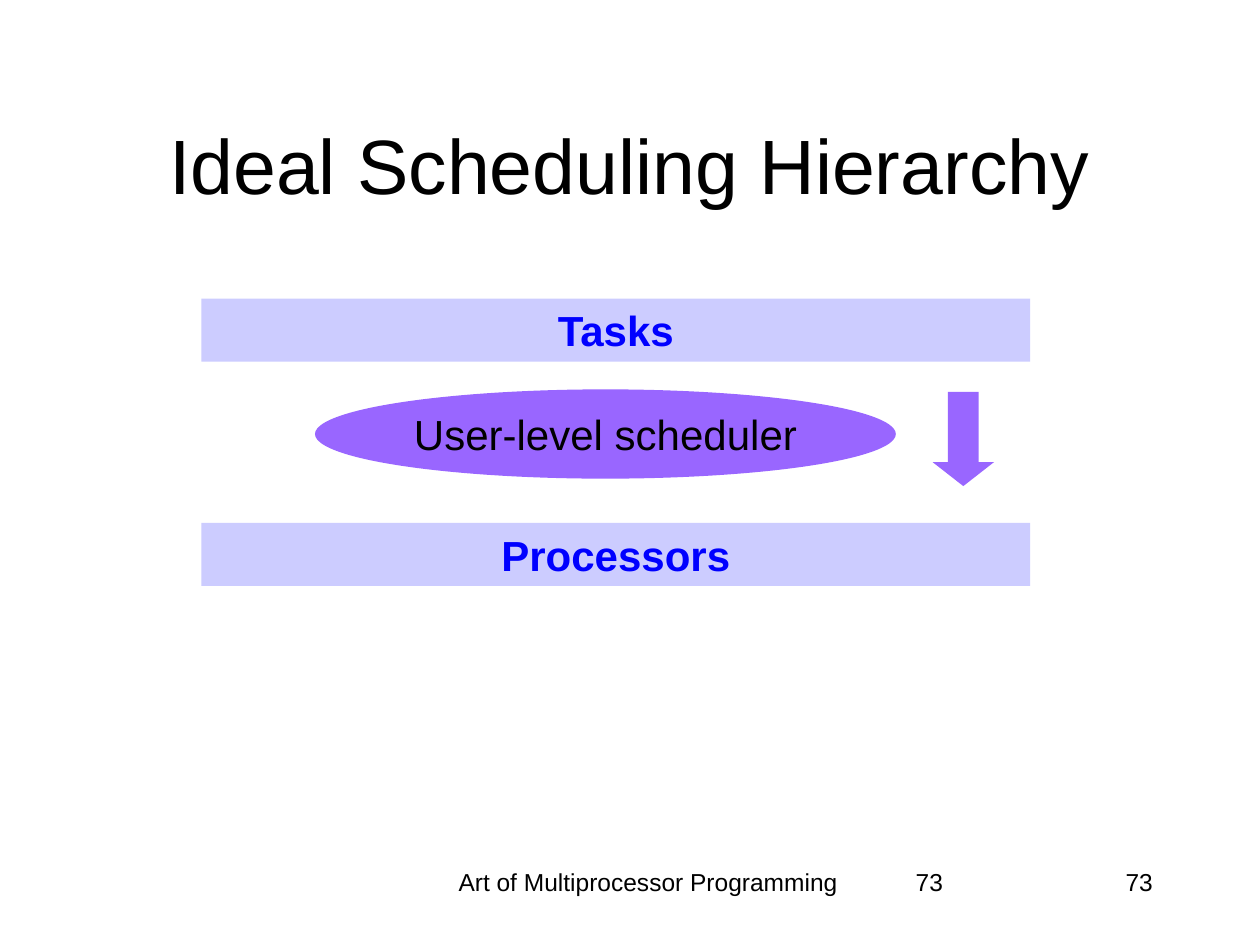
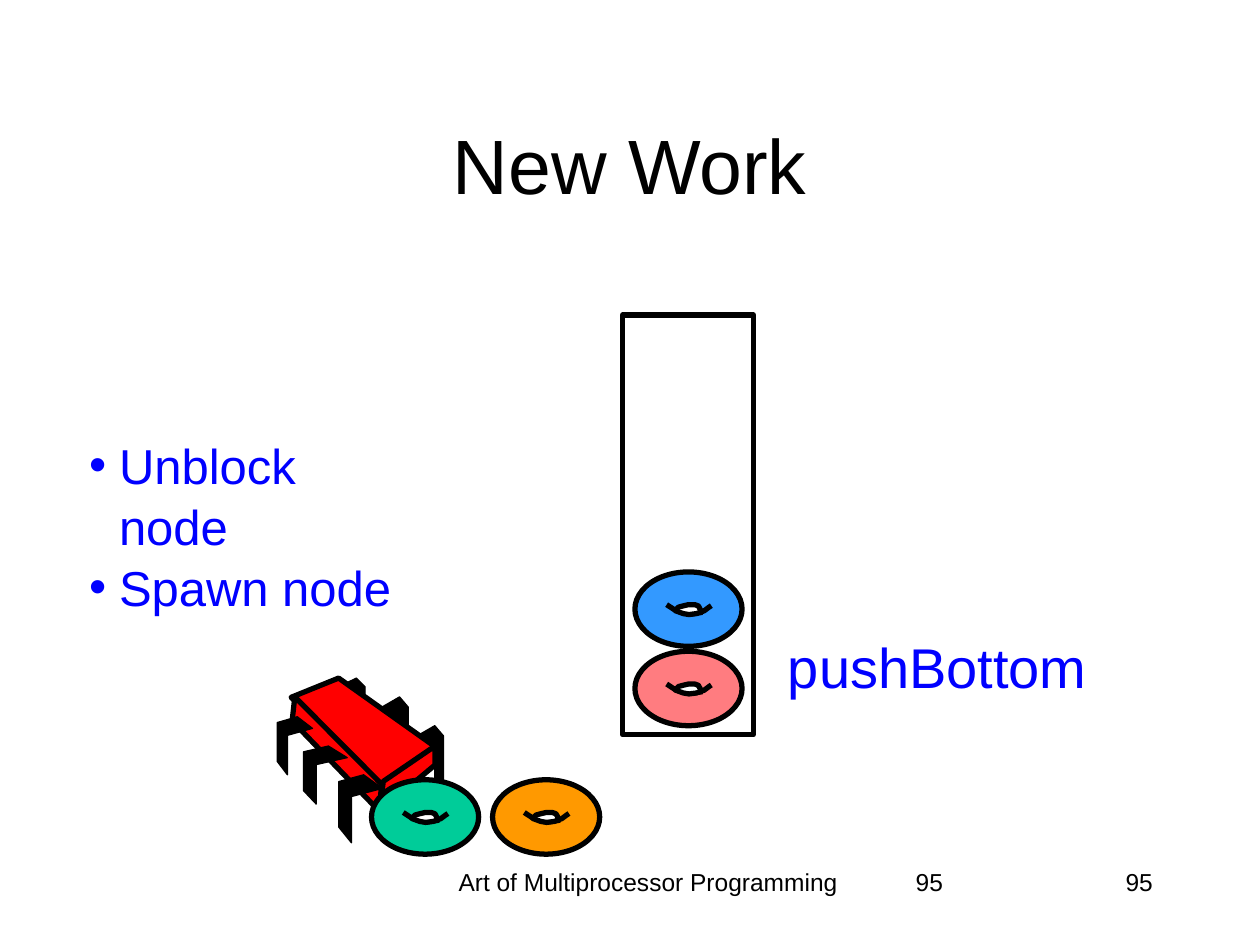
"""Build two slides on scheduling and work queues."""
from dataclasses import dataclass
from typing import Optional

from lxml.etree import SubElement as SubEl
from pptx import Presentation as Deck
from pptx.dml.color import RGBColor as Rgb
from pptx.enum.shapes import MSO_SHAPE as Kind
from pptx.enum.text import MSO_ANCHOR as Anchor, PP_ALIGN as Align
from pptx.oxml.ns import qn
from pptx.util import Cm, Pt

BLACK = Rgb(0x00, 0x00, 0x00)
WHITE = Rgb(0xFF, 0xFF, 0xFF)
BLUE = Rgb(0x00, 0x00, 0xFF)
LILAC = Rgb(0xCC, 0xCC, 0xFF)
PURPLE = Rgb(0x99, 0x66, 0xFF)
RED = Rgb(0xFF, 0x00, 0x00)
GREEN = Rgb(0x00, 0xCC, 0x99)
PINK = Rgb(0xFF, 0x7C, 0x80)
SKY = Rgb(0x33, 0x99, 0xFF)
ORANGE = Rgb(0xFF, 0x99, 0x00)
FONT = "Arial"
THIN, THICK = 0.75, 3


@dataclass(frozen=True)
class Box:
    """A place and size in centimetres."""
    x: float
    y: float
    w: float
    h: float

    def shift(self, x: float, y: float) -> "Box":
        """Return the box moved by x and y."""
        return Box(self.x + x, self.y + y, self.w, self.h)

    def spans(self) -> tuple:
        """Return left, top, width and height as lengths."""
        return Cm(self.x), Cm(self.y), Cm(self.w), Cm(self.h)


@dataclass(frozen=True)
class Type:
    """The look of some text."""
    size: float
    color: Rgb = BLACK
    bold: bool = False
    align: Align = Align.CENTER


@dataclass(frozen=True)
class Form:
    """An outline in percent of its box."""
    box: Box
    dots: tuple
    fill: Optional[Rgb] = BLACK
    line: float = THIN


@dataclass(frozen=True)
class Node:
    """A ring-shaped task node."""
    x: float
    y: float
    fill: Rgb


TITLE = Type(44)
FOOT = Type(14)
BAR = Type(24, BLUE, True)

BACK = ((0, 15), (67, 0), (100, 15), (100, 100), (67, 85), (67, 29), (0, 43))
FRONT = ((57, 0), (100, 20), (29, 32), (29, 100), (0, 77), (0, 10))
LID = ((0, 75), (14, 28), (32, 13), (50, 0), (73, 0), (86, 15), (100, 100))
EYE = ((0, 55), (14, 67), (23, 78), (32, 82), (59, 100), (100, 85),
       (77, 12), (68, 0), (18, 15), (3, 38))
SMILE = ((0, 0), (17, 50), (20, 62), (37, 90), (50, 100), (67, 90),
         (84, 62), (95, 25), (100, 10))

CHIP = (
    Form(Box(8.41, 14.63, 0.53, 1.37), BACK),
    Form(Box(7.7, 14.05, 0.53, 1.37), BACK),
    Form(Box(6.83, 13.67, 0.53, 1.17), BACK),
    Form(Box(5.87, 13.67, 2.9, 2.16),
         ((33, 0), (100, 64), (62, 100), (0, 18)), RED, THICK),
    Form(Box(5.89, 14.05, 1.8, 2.31),
         ((3, 0), (100, 76), (98, 100), (0, 21)), RED, THICK),
    Form(Box(7.65, 15.04, 1.12, 1.32),
         ((100, 0), (100, 29), (0, 100), (7, 54)), RED, THICK),
    Form(Box(6.83, 15.62, 0.88, 1.37), FRONT),
    Form(Box(6.12, 15.04, 0.88, 1.17), FRONT),
    Form(Box(5.59, 14.45, 0.71, 1.17), FRONT),
)
FACE = (
    Form(Box(0.8, 0.66, 0.56, 0.23), EYE, WHITE),
    Form(Box(0.8, 0.66, 0.56, 0.18), LID, None, THICK),
    Form(Box(0.64, 0.66, 0.9, 0.2), SMILE, None, THICK),
)
NODES = (
    Node(7.49, 15.72, GREEN),
    Node(12.8, 13.13, PINK),
    Node(12.8, 11.53, SKY),
    Node(9.93, 15.72, ORANGE),
)


def paint(shape, fill: Optional[Rgb], line: float = 0) -> None:
    """Set the fill and outline of a shape and drop its shadow."""
    shape.shadow.inherit = False
    if fill is None:
        shape.fill.background()
    else:
        shape.fill.solid()
        shape.fill.fore_color.rgb = fill
    if line:
        shape.line.color.rgb = BLACK
        shape.line.width = Pt(line)
    else:
        shape.line.fill.background()


def write(para, text: str, look: Type) -> None:
    """Add one run to a paragraph."""
    para.alignment = look.align
    run = para.add_run()
    run.text = text
    font = run.font
    font.name, font.size, font.bold = FONT, Pt(look.size), look.bold
    font.color.rgb = look.color


def label(slide, box: Box, text: str, look: Type, wrap: bool = True) -> None:
    """Add a text box with one line."""
    frame = slide.shapes.add_textbox(*box.spans()).text_frame
    frame.word_wrap = wrap
    write(frame.paragraphs[0], text, look)


def block(shapes, kind: Kind, box: Box, fill: Optional[Rgb], line: float = 0):
    """Add a preset shape."""
    shape = shapes.add_shape(kind, *box.spans())
    paint(shape, fill, line)
    return shape


def sign(slide, kind: Kind, box: Box, fill: Rgb, text: str, look: Type,
         wrap: bool = True) -> None:
    """Add a preset shape with centred text."""
    frame = block(slide.shapes, kind, box, fill).text_frame
    frame.word_wrap = wrap
    frame.vertical_anchor = Anchor.MIDDLE
    write(frame.paragraphs[0], text, look)


def trace(shapes, form: Form, x: float = 0, y: float = 0) -> None:
    """Draw an outline, closed when it has a fill."""
    left, top, width, height = form.box.shift(x, y).spans()
    first, *rest = form.dots
    pen = shapes.build_freeform(*first, scale=(width / 100, height / 100))
    pen.add_line_segments(rest, close=form.fill is not None)
    paint(pen.convert_to_shape(left, top), form.fill, form.line)


def ring(slide, node: Node) -> None:
    """Draw a task node as a group."""
    shapes = slide.shapes.add_group_shape().shapes
    block(shapes, Kind.OVAL, Box(node.x, node.y, 2.16, 1.5), node.fill, THICK)
    for form in FACE:
        trace(shapes, form, node.x, node.y)


def points(slide, box: Box, items: tuple, look: Type) -> None:
    """Add a bulleted list."""
    frame = slide.shapes.add_textbox(*box.spans()).text_frame
    frame.word_wrap = True
    for rank, item in enumerate(items):
        para = frame.add_paragraph() if rank else frame.paragraphs[0]
        props = para._p.get_or_add_pPr()
        props.set("marL", str(Cm(0.6)))
        props.set("indent", str(-Cm(0.6)))
        SubEl(props, qn("a:buFont"), typeface=FONT)
        SubEl(props, qn("a:buChar"), char="•")
        para.line_spacing = 1.04
        write(para, item, look)


def start(deck, title: str, page: str):
    """Add a slide with its title and footer."""
    slide = deck.slides.add_slide(deck.slide_layouts[5])
    label(slide, Box(8.69, 17.35, 8.76, 1.27),
          "Art of Multiprocessor Programming", FOOT)
    for align in (Align.LEFT, Align.RIGHT):
        label(slide, Box(18.21, 17.35, 5.28, 1.27), page,
              Type(14, align=align))
    head = slide.shapes.title
    head.left, head.top, head.width, head.height = Box(
        1.9, 1.7, 21.59, 3.18).spans()
    head.text_frame.vertical_anchor = Anchor.MIDDLE
    write(head.text_frame.paragraphs[0], title, TITLE)
    return slide


def layers(deck) -> None:
    """Build the scheduling hierarchy slide."""
    slide = start(deck, "Ideal Scheduling Hierarchy", "73")
    for top, text in ((6.02, "Tasks"), (10.54, "Processors")):
        sign(slide, Kind.RECTANGLE, Box(4.06, top, 16.71, 1.27), LILAC,
             text, BAR)
    sign(slide, Kind.OVAL, Box(6.35, 7.85, 11.71, 1.8), PURPLE,
         "User-level scheduler", Type(24), False)
    arrow = block(slide.shapes, Kind.DOWN_ARROW, Box(18.8, 7.9, 1.24, 1.9),
                  PURPLE)
    arrow.adjustments[1] = 0.39


def queue(deck) -> None:
    """Build the new work slide."""
    slide = start(deck, "New Work", "95")
    block(slide.shapes, Kind.RECTANGLE, Box(12.55, 6.35, 2.64, 8.46), None,
          THICK)
    chip = slide.shapes.add_group_shape().shapes
    for form in CHIP:
        trace(chip, form)
    for node in NODES:
        ring(slide, node)
    points(slide, Box(1.55, 8.6, 7.01, 2.62), ("Unblock node", "Spawn node"),
           Type(28, BLUE, align=Align.LEFT))
    label(slide, Box(15.52, 12.62, 6.76, 1.6), "pushBottom", Type(32, BLUE),
          False)


def main() -> None:
    """Build and save the deck."""
    deck = Deck()
    deck.slide_width, deck.slide_height = Cm(25.4), Cm(19.05)
    layers(deck)
    queue(deck)
    deck.save("out.pptx")


if __name__ == "__main__":
    main()
